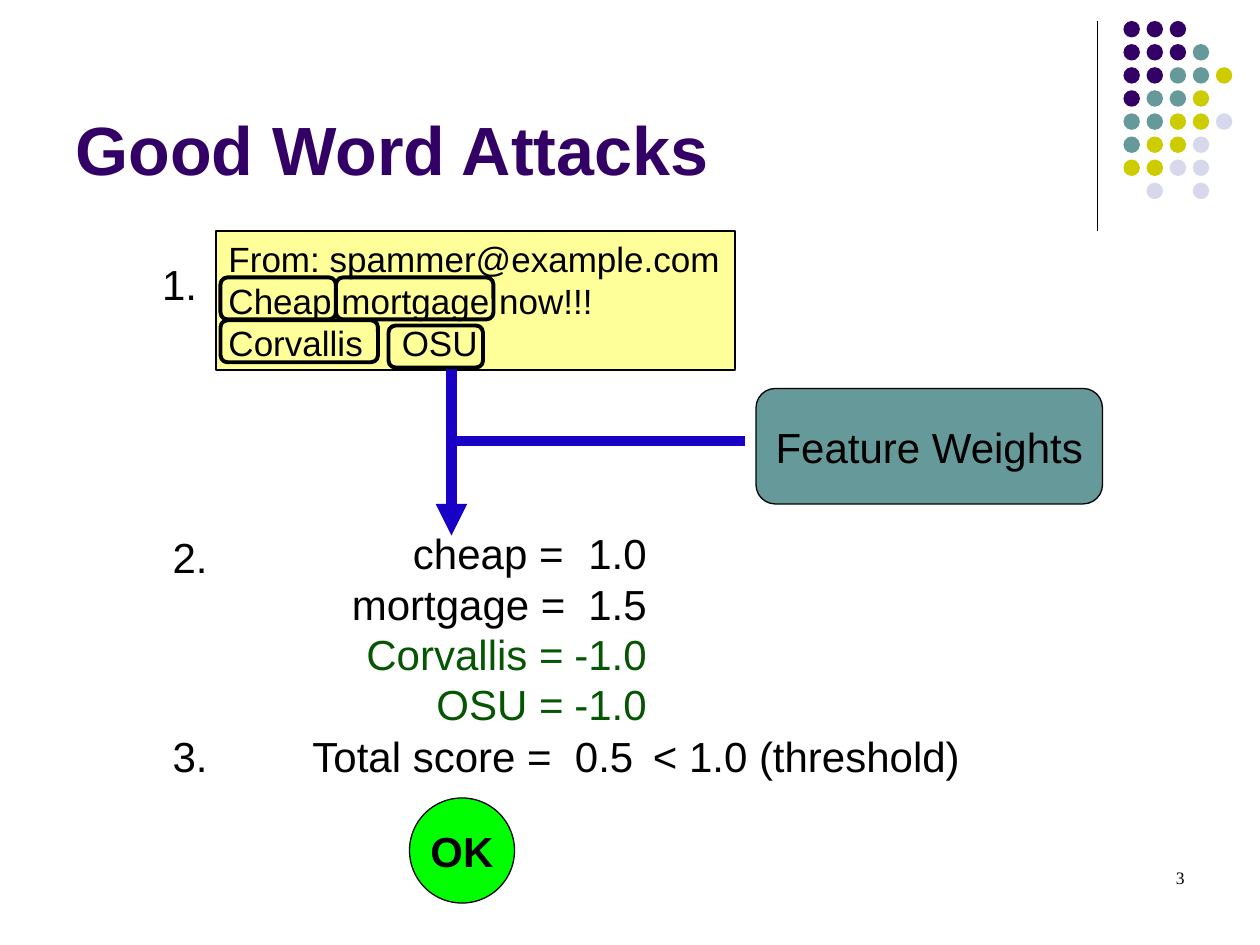
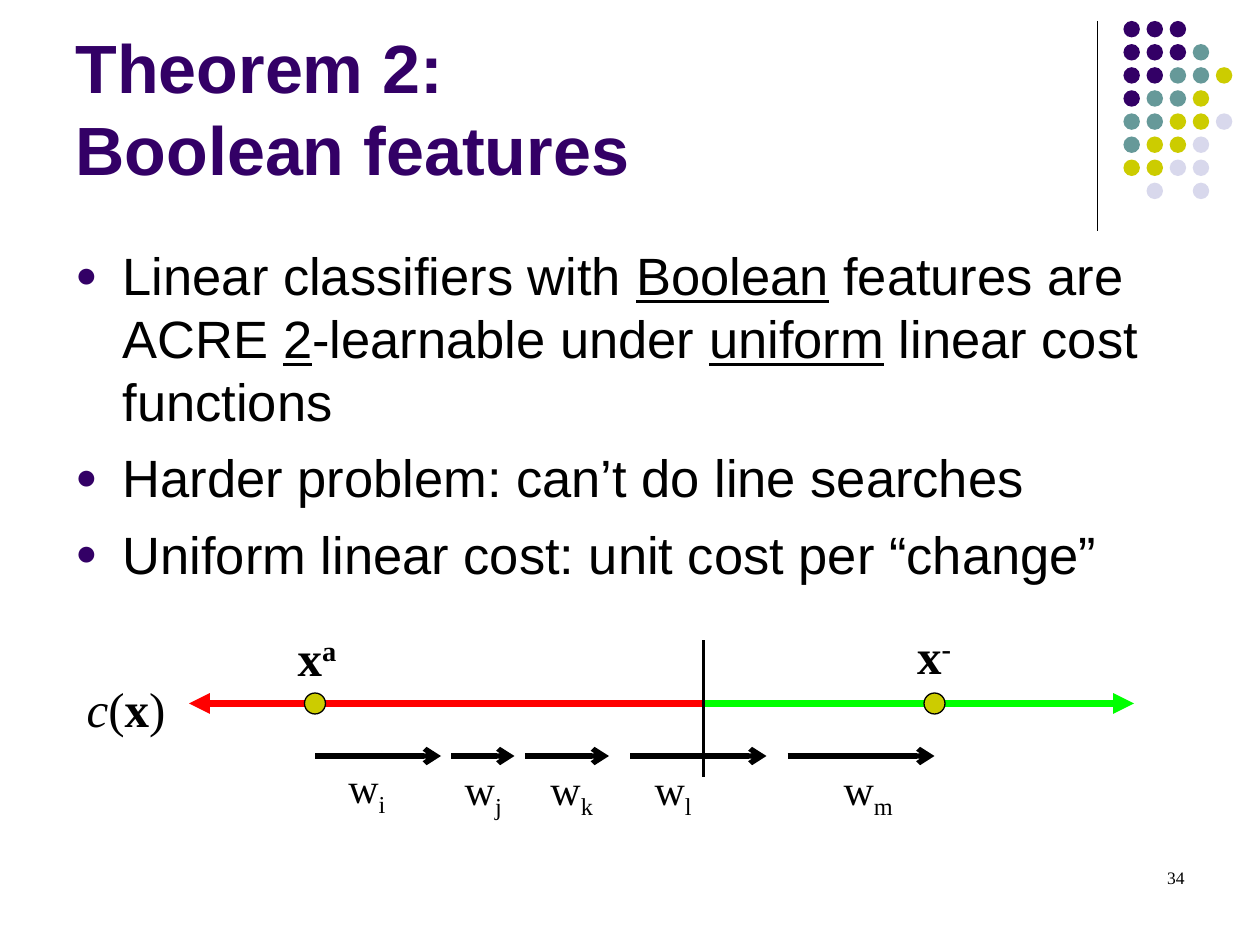
from lxml.etree import SubElement
from pptx import Presentation
from pptx.dml.color import RGBColor
from pptx.enum.shapes import MSO_CONNECTOR, MSO_SHAPE
from pptx.enum.text import MSO_ANCHOR as Anchor, MSO_AUTO_SIZE as AutoSize, PP_ALIGN as Align
from pptx.oxml.ns import qn
from pptx.util import Pt

# Colours and fonts
BLACK = RGBColor(0x00, 0x00, 0x00)
PURPLE = RGBColor(0x33, 0x00, 0x66)
TEAL = RGBColor(0x66, 0x99, 0x99)
OLIVE = RGBColor(0xCC, 0xCC, 0x00)
LAVENDER = RGBColor(0xD8, 0xD8, 0xEC)
MAIL_YELLOW = RGBColor(0xFF, 0xFF, 0x99)
GOOD_GREEN = RGBColor(0x06, 0x55, 0x03)
ARROW_BLUE = RGBColor(0x18, 0x00, 0xC6)
RED = RGBColor(0xFF, 0x00, 0x00)
GREEN = RGBColor(0x00, 0xFF, 0x00)
SANS, SERIF = "Arial", "Times New Roman"

# Corner decoration: one letter per dot
DOT_ROWS = ["PPP", "PPPT", "PPTTO", "PTTO", "TTOOL", "TOOL", "OOLL", " L L"]
DOT_COLOURS = {"P": PURPLE, "T": TEAL, "O": OLIVE, "L": LAVENDER}
DOT_PITCH, DOT_SIZE = 13.2, 9.4


def add_run(paragraph, text, size=24, font=SANS, colour=BLACK, bold=False,
            italic=False, underline=False, baseline=0):
    run = paragraph.add_run()
    run.text = text
    run.font.size = Pt(size)
    run.font.name = font
    run.font.color.rgb = colour
    run.font.bold, run.font.italic, run.font.underline = bold, italic, underline
    if baseline:
        run._r.get_or_add_rPr().set("baseline", str(baseline * 1000))


def write_lines(frame, lines, align=Align.LEFT, **style):
    """Each line is a string or a list of (text, style changes) runs."""
    for number, line in enumerate(lines):
        paragraph = frame.add_paragraph() if number else frame.paragraphs[0]
        paragraph.alignment = align
        runs = [(line, {})] if isinstance(line, str) else line
        for text, changes in runs:
            add_run(paragraph, text, **{**style, **changes})


def add_text(slide, left, top, width, height, lines, **style):
    frame = slide.shapes.add_textbox(Pt(left), Pt(top), Pt(width), Pt(height)).text_frame
    frame.word_wrap = True
    write_lines(frame, lines, **style)
    return frame


def add_figure(shapes, kind, left, top, width, height, fill=None, line=None):
    figure = shapes.add_shape(kind, Pt(left), Pt(top), Pt(width), Pt(height))
    figure.shadow.inherit = False
    if fill is None:
        figure.fill.background()
    else:
        figure.fill.solid()
        figure.fill.fore_color.rgb = fill
    if line is None:
        figure.line.fill.background()
    else:
        figure.line.color.rgb = BLACK
        figure.line.width = Pt(line)
    return figure


def add_label(figure, text, **style):
    frame = figure.text_frame
    frame.word_wrap = False
    frame.vertical_anchor = Anchor.MIDDLE
    write_lines(frame, [text], align=Align.CENTER, **style)


def add_line(slide, x1, y1, x2, y2, colour, width, tip=None):
    """Draw a line; a tip is an arrowhead at the second point."""
    line = slide.shapes.add_connector(MSO_CONNECTOR.STRAIGHT, Pt(x1), Pt(y1), Pt(x2), Pt(y2))
    line.line.color.rgb = colour
    line.line.width = Pt(width)
    if tip:
        SubElement(line.line._get_or_add_ln(), qn("a:tailEnd"), type=tip)
    SubElement(line._element.spPr, qn("a:effectLst"))


def set_tabs(paragraph, *stops):
    """Set tab stops given as (position, alignment) pairs."""
    tabs = SubElement(paragraph._p.get_or_add_pPr(), qn("a:tabLst"))
    for position, side in stops:
        SubElement(tabs, qn("a:tab"), pos=str(Pt(position)), algn=side)


def set_bullet(paragraph):
    paragraph.space_before = Pt(7.5)
    properties = paragraph._p.get_or_add_pPr()
    properties.set("marL", str(Pt(27)))
    properties.set("indent", str(Pt(-27)))
    colour = SubElement(properties, qn("a:buClr"))
    SubElement(colour, qn("a:srgbClr"), val=str(PURPLE))
    SubElement(properties, qn("a:buSzPct"), val="70000")
    SubElement(properties, qn("a:buFont"), typeface=SANS)
    SubElement(properties, qn("a:buChar"), char="●")


def start_slide(deck, title_lines, number):
    """Title-only slide with the corner decoration and page number."""
    slide = deck.slides.add_slide(deck.slide_layouts[5])
    add_line(slide, 627, 12, 627, 132, BLACK, 0.75)
    dots = slide.shapes.add_group_shape().shapes
    for row, letters in enumerate(DOT_ROWS):
        for column, letter in enumerate(letters):
            if letter in DOT_COLOURS:
                add_figure(dots, MSO_SHAPE.OVAL, 642 + column * DOT_PITCH,
                           12 + row * DOT_PITCH, DOT_SIZE, DOT_SIZE, DOT_COLOURS[letter])

    title = slide.shapes.title
    title.left, title.top, title.width, title.height = Pt(36), Pt(9.5), Pt(594), Pt(102)
    frame = title.text_frame
    frame.auto_size = AutoSize.NONE
    frame.vertical_anchor = Anchor.BOTTOM
    heading = frame.paragraphs[0]
    heading.alignment = Align.LEFT
    for index, text in enumerate(title_lines):
        if index:
            heading.add_line_break()
        add_run(heading, text, size=39, colour=PURPLE, bold=True)

    add_text(slide, 516, 492, 168, 36, [number], align=Align.RIGHT, size=10, font=SERIF)
    return slide


def build_attacks(deck):
    slide = start_slide(deck, ["Good Word Attacks"], "3")

    # Step numbers
    for step, left, top in [("1.", 85.5, 144), ("2.", 91.5, 300), ("3.", 91.5, 414)]:
        add_text(slide, left, top, 40, 36, [step])

    # Spam message
    message = add_figure(slide.shapes, MSO_SHAPE.RECTANGLE, 123.5, 132, 296.5, 79.5,
                         MAIL_YELLOW, 1.5).text_frame
    message.word_wrap = True
    message.vertical_anchor = Anchor.TOP
    write_lines(message, ["From: spammer@example.com", "Cheap mortgage now!!!",
                          "Corvallis\tOSU"], size=20)
    set_tabs(message.paragraphs[2], (99, "l"))

    # Feature weights feeding the score
    weights = add_figure(slide.shapes, MSO_SHAPE.ROUNDED_RECTANGLE, 432, 222, 198, 66, TEAL, 0.75)
    add_label(weights, "Feature Weights")
    add_line(slide, 258, 211, 258, 306, ARROW_BLUE, 6, "triangle")
    add_line(slide, 258, 252, 426, 252, ARROW_BLUE, 6)

    # Frames around the scored words
    for left, top, width in [(126, 158.5, 66), (192, 158.5, 90), (126, 183, 90), (222, 186, 54)]:
        add_figure(slide.shapes, MSO_SHAPE.ROUNDED_RECTANGLE, left, top, width, 24, line=2.25)

    # Word scores
    good = {"colour": GOOD_GREEN}
    scores = add_text(slide, 194, 298, 200, 122.5, [
        "\tcheap =\t1.0", "\tmortgage =\t1.5",
        [("\tCorvallis =\t-1.0", good)], [("\tOSU =\t-1.0", good)]])
    for score in scores.paragraphs:
        set_tabs(score, (121, "r"), (168.5, "r"))

    # Total and verdict
    total = add_text(slide, 171.5, 414, 200, 36, ["Total score =\t0.5"])
    set_tabs(total.paragraphs[0], (150, "l"))
    add_text(slide, 366, 414, 210, 36, ["< 1.0 (threshold)"])
    verdict = add_figure(slide.shapes, MSO_SHAPE.OVAL, 234, 456, 60, 60, GREEN, 0.75)
    add_label(verdict, "OK", bold=True)


def build_theorem(deck):
    slide = start_slide(deck, ["Theorem 2:", "Boolean features"], "34")

    # Claims
    under = {"underline": True}
    claims = add_text(slide, 36, 135.5, 648, 347, [
        [("Linear classifiers with ", {}), ("Boolean", under), (" features are ACRE ", {}),
         ("2", under), ("-learnable under ", {}), ("uniform", under),
         (" linear cost functions", {})],
        "Harder problem: can’t do line searches",
        "Uniform linear cost: unit cost per “change”"], size=30)
    for claim in claims.paragraphs:
        set_bullet(claim)

    # Classifier axis with its boundary
    axis, boundary = 402, 402
    add_line(slide, boundary, axis, 648, axis, GREEN, 4, "triangle")
    add_line(slide, boundary, axis, 108, axis, RED, 4, "triangle")
    add_line(slide, boundary, 366, boundary, 444, BLACK, 2)
    add_text(slide, 42.5, 384, 72, 41, [[("c", {"italic": True}), ("(", {}),
             ("x", {"bold": True}), (")", {})]], size=28, font=SERIF)

    # Instances on the axis
    for mark, centre, left, top in [("a", 180, 163, 355), ("-", 534, 517, 354)]:
        add_figure(slide.shapes, MSO_SHAPE.OVAL, centre - 6, axis - 6, 12, 12, OLIVE, 0.75)
        add_text(slide, left, top, 48, 41, [[("x", {}), (mark, {"baseline": 30})]],
                 size=28, font=SERIF, bold=True)

    # Weight of each feature change
    changes = [("i", 180, 252, 192, 431.5), ("j", 258, 294, 258.5, 432.5),
               ("k", 300, 348, 307.5, 432.5), ("l", 360, 438, 367, 432.5),
               ("m", 450, 534, 475, 432.5)]
    for index, start, end, left, top in changes:
        add_line(slide, start, 432, end, 432, BLACK, 3, "arrow")
        add_text(slide, left, top, 50, 40, [[("w", {}), (index, {"baseline": -25})]], font=SERIF)


def main():
    deck = Presentation()
    deck.slide_width, deck.slide_height = Pt(720), Pt(540)
    build_attacks(deck)
    build_theorem(deck)
    deck.save("out.pptx")


if __name__ == "__main__":
    main()
